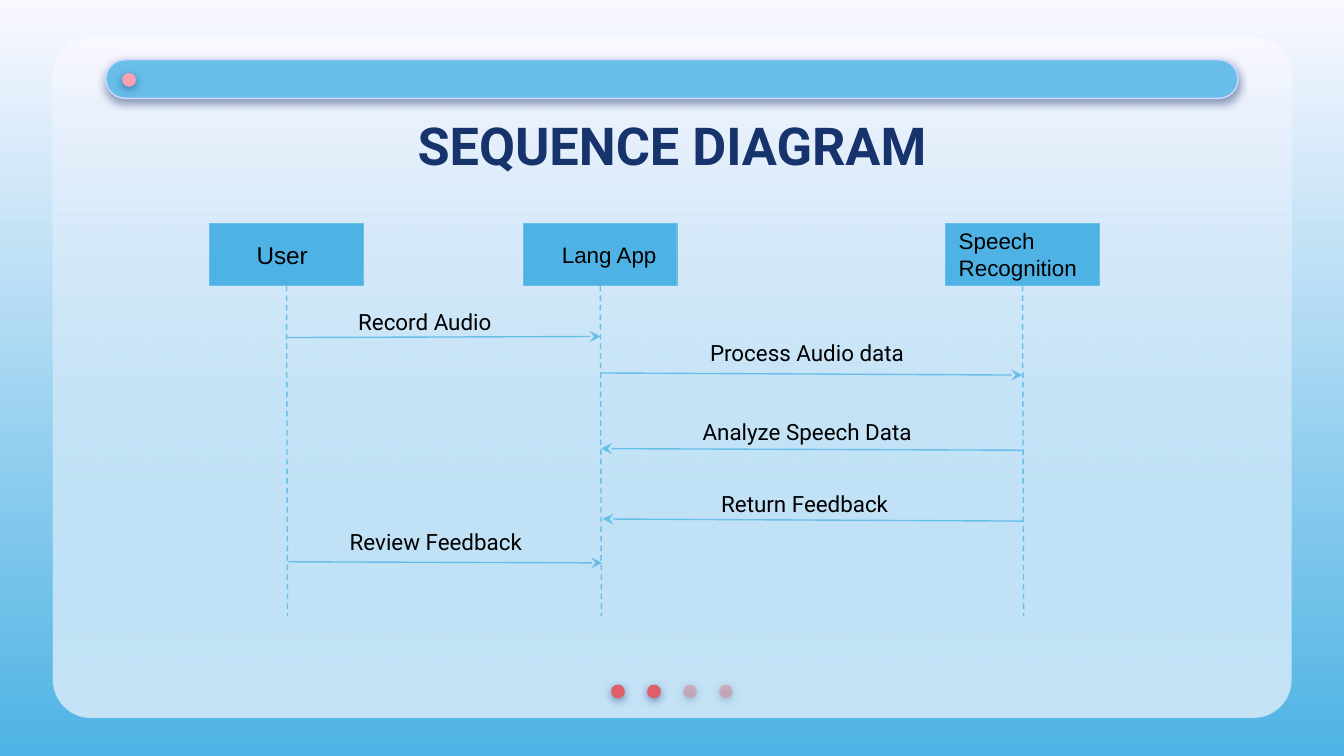
from lxml import etree
from pptx import Presentation
from pptx.dml.color import RGBColor
from pptx.enum.dml import MSO_LINE
from pptx.enum.shapes import MSO_CONNECTOR, MSO_SHAPE
from pptx.enum.text import MSO_ANCHOR, PP_ALIGN
from pptx.oxml.ns import qn
from pptx.util import Cm, Pt

DASH = MSO_LINE.DASH
STRAIGHT = MSO_CONNECTOR.STRAIGHT
RECTANGLE, ROUNDED, OVAL = MSO_SHAPE.RECTANGLE, MSO_SHAPE.ROUNDED_RECTANGLE, MSO_SHAPE.OVAL
TOP, MIDDLE = MSO_ANCHOR.TOP, MSO_ANCHOR.MIDDLE
LEFT, CENTER = PP_ALIGN.LEFT, PP_ALIGN.CENTER

PALE, SKY, BLUE, NAVY, BLACK = "F9F8FF", "66BEE9", "4EB3E4", "17336B", "000000"
BOX_TOP, BOX_WIDTH, BOX_HEIGHT = 4.22, 2.91, 1.18
LIFELINE_END = 11.65
INSET = 0.25

PARTICIPANTS = [
    ("User", 3.96, 13, 0.89),
    ("Lang App", 9.89, 12, 0.73),
    ("Speech Recognition", 17.87, 12, INSET),
]
MESSAGES = [
    ("Record Audio", (5.43, 6.38), (11.35, 6.36), (6.52, 5.57, 3.76)),
    ("Process Audio data", (11.35, 7.05), (19.32, 7.09), (13.17, 6.16, 4.7)),
    ("Analyze Speech Data", (19.32, 8.51), (11.36, 8.48), (13.03, 7.65, 6.55)),
    ("Return Feedback", (19.35, 9.85), (11.39, 9.81), (13.38, 9.02, 5.13)),
    ("Review Feedback", (5.45, 10.62), (11.38, 10.64), (6.36, 9.73, 4.85)),
]


def color(value):
    """Return the colour for a hex string."""
    return RGBColor.from_string(value)


def set_alpha(parent, percent):
    """Set the opacity of the colour element inside the parent."""
    node = next(parent.iter(qn("a:srgbClr")))
    etree.SubElement(node, qn("a:alpha"), val=str(percent * 1000))


def fill_gradient(fill, top, bottom):
    """Fill from the top colour down to the bottom colour."""
    fill.gradient()
    fill.gradient_angle = 270
    for stop, value in zip(fill.gradient_stops, (top, bottom)):
        stop.color.rgb = color(value)


def write_text(shape, text, size=12, font="Roboto", ink=BLACK, bold=False,
               align=LEFT, anchor=TOP, left=INSET):
    """Write one formatted paragraph into a shape."""
    frame = shape.text_frame
    frame.word_wrap = True
    frame.vertical_anchor = anchor
    frame.margin_left = Cm(left)
    frame.margin_top = frame.margin_right = frame.margin_bottom = Cm(INSET)
    para = frame.paragraphs[0]
    para.alignment = align
    span = para.add_run()
    span.text = text
    span.font.size, span.font.name, span.font.bold = Pt(size), font, bold
    span.font.color.rgb = color(ink)


def add_shape(page, kind, place, fill, line=None, radius=None):
    """Add a flat preset shape."""
    shape = page.shapes.add_shape(kind, *map(Cm, place))
    shape.shadow.inherit = False
    shape.fill.solid()
    shape.fill.fore_color.rgb = color(fill)
    if line:
        shape.line.color.rgb = color(line)
        shape.line.width = Pt(0.75)
    else:
        shape.line.fill.background()
    if radius is not None:
        shape.adjustments[0] = radius
    return shape


def add_shadow(shape):
    """Give a shape a soft navy shadow below."""
    effects = shape._element.spPr.find(qn("a:effectLst"))
    shadow = etree.SubElement(effects, qn("a:outerShdw"), blurRad=str(Pt(4.5)),
                              dist=str(Pt(1.5)), dir="5400000", algn="bl", rotWithShape="0")
    etree.SubElement(shadow, qn("a:srgbClr"), val=NAVY)
    set_alpha(shadow, 50)


def add_dot(page, left, top, fill, opacity=100):
    """Add a small round dot with a shadow."""
    dot = add_shape(page, OVAL, (left, top, 0.26, 0.26), fill)
    if opacity < 100:
        set_alpha(dot._element.spPr.find(qn("a:solidFill")), opacity)
    add_shadow(dot)


def add_line(page, start, end, dashed=False, arrow=False):
    """Add a thin line, dashed or with an arrowhead at its end."""
    line = page.shapes.add_connector(STRAIGHT, *map(Cm, start + end))
    line.line.color.rgb = color(SKY)
    line.line.width = Pt(0.75)
    if dashed:
        line.line.dash_style = DASH
    if arrow:
        etree.SubElement(line.line._get_or_add_ln(), qn("a:tailEnd"), type="stealth")
    etree.SubElement(line._element.spPr, qn("a:effectLst"))


def add_frame(page):
    """Add the background, the panel, the top bar and the dots."""
    fill_gradient(page.background.fill, PALE, BLUE)
    panel = (1, 0.71, 23.41, 12.86)
    add_shape(page, ROUNDED, panel, PALE, radius=0.056)
    tint = add_shape(page, ROUNDED, panel, PALE, radius=0.056)
    fill_gradient(tint.fill, PALE, SKY)
    set_alpha(tint._element.spPr.findall(".//" + qn("a:gs"))[1], 34)
    for index in range(4):
        fill, opacity = ("DF5F69", 100) if index < 2 else ("E27B83", 44)
        add_dot(page, 11.55 + 0.68 * index, 12.94, fill, opacity)
    add_shadow(add_shape(page, ROUNDED, (2, 1.13, 21.4, 0.73), SKY, "D2D6FF", 0.5))
    add_dot(page, 2.31, 1.38, "FDA0B4")


def add_title(page, text):
    """Place the title in front of the panel and format it."""
    title = page.shapes.title
    page.shapes._spTree.append(title._element)
    title.left, title.top, title.width, title.height = map(Cm, (2, 1.93, 21.4, 1.6))
    write_text(title, text, size=28, ink=NAVY, bold=True, align=CENTER, anchor=MIDDLE)


def add_participant(page, name, left, size, margin):
    """Add a participant box and its lifeline."""
    box = add_shape(page, RECTANGLE, (left, BOX_TOP, BOX_WIDTH, BOX_HEIGHT), BLUE, SKY)
    write_text(box, name, size=size, font="Arial", anchor=MIDDLE, left=margin)
    middle = left + BOX_WIDTH / 2
    add_line(page, (middle, BOX_TOP + BOX_HEIGHT), (middle + 0.02, LIFELINE_END), dashed=True)


def add_message(page, text, start, end, place):
    """Add a message arrow and its label."""
    add_line(page, start, end, arrow=True)
    label = page.shapes.add_textbox(*map(Cm, place + (1.02,)))
    write_text(label, text)


def main():
    """Build the sequence diagram slide."""
    deck = Presentation()
    deck.slide_width, deck.slide_height = Cm(25.4), Cm(14.29)
    page = deck.slides.add_slide(deck.slide_layouts[5])
    add_frame(page)
    add_title(page, "SEQUENCE DIAGRAM")
    for participant in PARTICIPANTS:
        add_participant(page, *participant)
    for message in MESSAGES:
        add_message(page, *message)
    deck.save("out.pptx")


if __name__ == "__main__":
    main()
